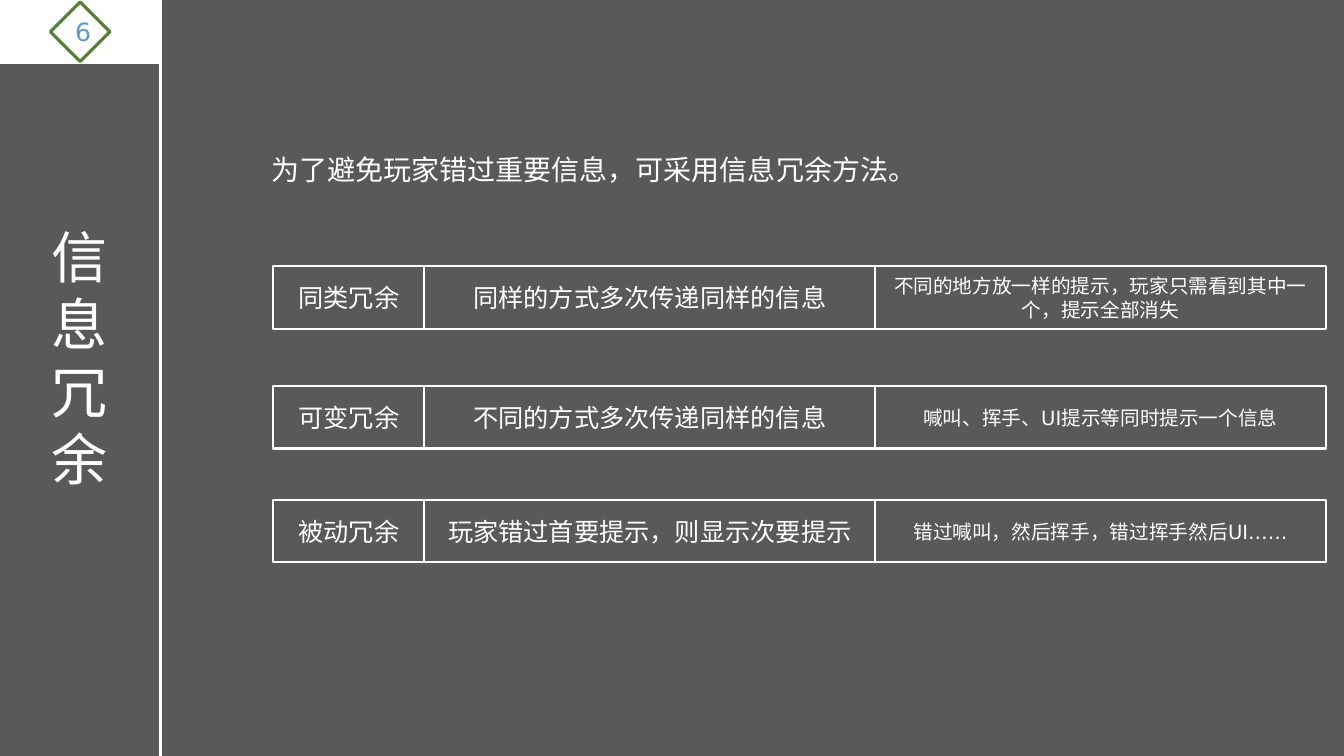
"""Build the slide on information redundancy: a side title and three rows of boxes."""
from dataclasses import dataclass
from itertools import accumulate

import pptx
import pptx.dml.color
import pptx.enum.shapes
import pptx.enum.text
import pptx.util
from lxml import etree

TITLE = "信息冗余"
NUMBER = "6"
INTRO = "为了避免玩家错过重要信息，可采用信息冗余方法。"
ROWS = [
    (2.64, ("同类冗余", "同样的方式多次传递同样的信息",
            "不同的地方放一样的提示，玩家只需看到其中一个，提示全部消失")),
    (3.83, ("可变冗余", "不同的方式多次传递同样的信息",
            "喊叫、挥手、UI提示等同时提示一个信息")),
    (4.96, ("被动冗余", "玩家错过首要提示，则显示次要提示",
            "错过喊叫，然后挥手，错过挥手然后UI……")),
]

WIDTH, HEIGHT = 13.33, 7.5
SIDEBAR = 1.59
BADGE_HEIGHT, DIAMOND = 0.63, 0.59
GRID_LEFT, ROW_HEIGHT = 2.71, 0.62
COLUMN_WIDTHS = (1.5, 4.47, 4.47)


@dataclass(frozen=True)
class Theme:
    font: str = "DejaVu Sans"
    back: str = "595959"
    white: str = "FFFFFF"
    green: str = "548235"
    blue: str = "5B9BD5"
    title: int = 40
    intro: int = 20
    label: int = 18
    example: int = 14
    thick: float = 2.25
    thin: float = 1.5


THEME = Theme()
COLUMN_SIZES = (THEME.label, THEME.label, THEME.example)
SHAPE = pptx.enum.shapes.MSO_SHAPE
ANCHOR = pptx.enum.text.MSO_ANCHOR
CENTER = pptx.enum.text.PP_ALIGN.CENTER
LEFT = pptx.enum.text.PP_ALIGN.LEFT


def rgb(code):
    return pptx.dml.color.RGBColor.from_string(code)


def inches(*lengths):
    return [pptx.util.Inches(n) for n in lengths]


def write(sp, text, size, color=THEME.white, align=CENTER, anchor=ANCHOR.MIDDLE):
    tf = sp.text_frame
    tf.word_wrap = True
    tf.auto_size = pptx.enum.text.MSO_AUTO_SIZE.NONE
    tf.vertical_anchor = anchor
    p = tf.paragraphs[0]
    p.text = text
    p.alignment = align
    p.font.name = THEME.font
    p.font.size = pptx.util.Pt(size)
    p.font.color.rgb = rgb(color)
    return p


def add_box(s, kind, place, line, width, fill=None):
    sp = s.shapes.add_shape(kind, *inches(*place))
    sp.shadow.inherit = False
    if fill:
        sp.fill.solid()
        sp.fill.fore_color.rgb = rgb(fill)
    else:
        sp.fill.background()
    sp.line.color.rgb = rgb(line)
    sp.line.width = pptx.util.Pt(width)
    return sp


def add_sidebar(s):
    rule = s.shapes.add_connector(pptx.enum.shapes.MSO_CONNECTOR.STRAIGHT,
                                  *inches(SIDEBAR, 0, SIDEBAR, HEIGHT))
    rule.line.color.rgb = rgb(THEME.white)
    rule.line.width = pptx.util.Pt(THEME.thick)
    etree.SubElement(rule.element.spPr, pptx.oxml.ns.qn("a:effectLst"))

    title = s.shapes.title
    title.left, title.top, title.width, title.height = inches(0.28, 2.16, 1.02, 2.79)
    write(title, TITLE, THEME.title, anchor=ANCHOR.TOP).line_spacing = 1.0

    add_box(s, SHAPE.RECTANGLE, (0, 0, SIDEBAR, BADGE_HEIGHT),
            THEME.white, THEME.thin, THEME.white)
    place = ((SIDEBAR - DIAMOND) / 2, (BADGE_HEIGHT - DIAMOND) / 2, DIAMOND, DIAMOND)
    diamond = add_box(s, SHAPE.DIAMOND, place, THEME.green, THEME.thick)
    write(diamond, NUMBER, THEME.label, THEME.blue)


def add_rows(s):
    lefts = accumulate(COLUMN_WIDTHS[:-1], initial=GRID_LEFT)
    columns = list(zip(lefts, COLUMN_WIDTHS, COLUMN_SIZES))
    for top, texts in ROWS:
        for text, (left, width, size) in zip(texts, columns):
            cell = add_box(s, SHAPE.RECTANGLE, (left, top, width, ROW_HEIGHT),
                           THEME.white, THEME.thin)
            write(cell, text, size)


def main():
    prs = pptx.Presentation()
    prs.slide_width, prs.slide_height = inches(WIDTH, HEIGHT)
    s = prs.slides.add_slide(prs.slide_layouts.get_by_name("Title Only"))
    s.background.fill.solid()
    s.background.fill.fore_color.rgb = rgb(THEME.back)
    add_sidebar(s)
    intro = s.shapes.add_textbox(*inches(2.59, 1.38, 7.11, 0.52))
    p = write(intro, INTRO, THEME.intro, align=LEFT, anchor=ANCHOR.TOP)
    p.line_spacing = pptx.util.Pt(30)
    add_rows(s)
    prs.save("out.pptx")


if __name__ == "__main__":
    main()
